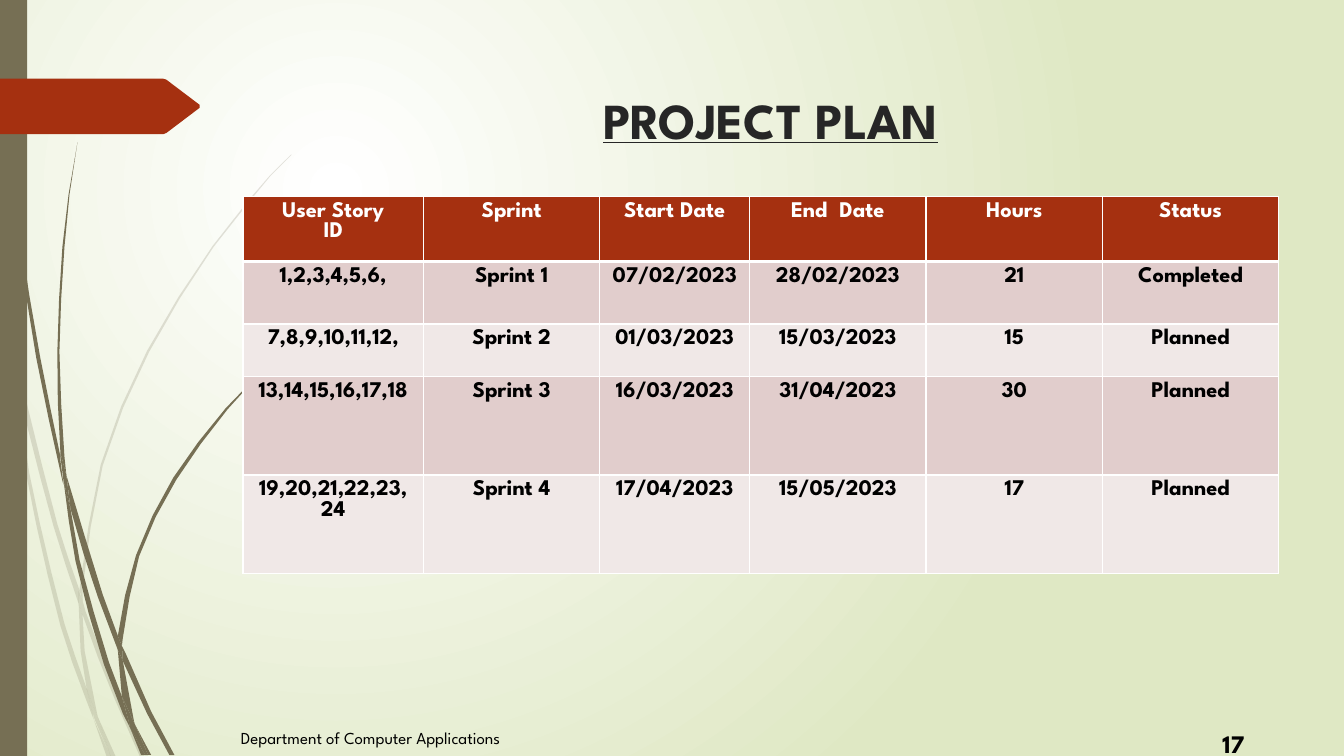
from dataclasses import dataclass
from math import ceil, dist

from lxml.etree import SubElement
from pptx import Presentation
from pptx.dml.color import RGBColor as RGB
from pptx.enum.text import MSO_ANCHOR as ANCHOR, MSO_AUTO_SIZE as AUTO, PP_ALIGN as ALIGN
from pptx.enum.shapes import MSO_SHAPE as SHAPE
from pptx.oxml.ns import qn
from pptx.util import Pt


@dataclass(frozen=True)
class Theme:
    font: str = "League Spartan"
    white: str = "FFFFFF"
    black: str = "000000"
    title: str = "262626"
    backdrop: str = "DFE8C4"
    stem: str = "766F54"
    accent: str = "A53010"
    bands: tuple = ("E1CDCC", "F0E8E7")
    title_size: int = 36
    number_size: int = 18
    table_size: int = 16
    footer_size: int = 12


PALE_WISPS = [
    ([(7.2, 252), (5.8, 231.8), (0, 203)], [(0, 215.3), (6.5, 247.7), (7.2, 252)]),
    ([(9.4, 248.4), (11.5, 270.7), (38.2, 375.8), (56.2, 431.3)],
     [(56.9, 421.9), (41, 374.4), (9.4, 248.4)]),
    ([(59, 429.1), (59, 439.2), (82.1, 499.7), (100.1, 540.7)],
     [(103.7, 540.7), (85, 498.2), (61.2, 437), (59, 429.1)]),
    ([(69.8, 511.9), (79.2, 540.7)], [(82.8, 540.7), (69.8, 511.9)]),
    ([(7.2, 252), (18.7, 338.4), (43.2, 447.1), (61.2, 499), (67, 514.1)],
     [(66.2, 509), (61.9, 491.8), (46.1, 445.7), (20.9, 337.7), (11.5, 270.7), (7.2, 252)]),
    ([(56.2, 431.3), (57.6, 465.1), (61.9, 491.8), (64.1, 498.2), (69.8, 511.9)],
     [(69.1, 508.3), (60.5, 465.1), (59, 439.2), (58.3, 437.8), (56.2, 431.3)]),
    ([(59, 429.1), (59, 420.5), (73.4, 332.6), (106.6, 251.3), (152.6, 176.4),
      (179.3, 142.6), (193, 126), (208.1, 110.9)],
     [(208.1, 110.2), (192.6, 125.6), (178.6, 141.8), (151.9, 175.7), (105.1, 250.6),
      (72, 331.9), (56.9, 420.5), (56.9, 421.9), (59, 429.1)]),
    ([(67, 514.1), (76.3, 540.7)], [(79.2, 540.7), (67, 514.1)]),
    ([(56.2, 421.9), (56.2, 431.3), (58.3, 437.8), (59, 439.2)], [(59, 429.1), (56.2, 421.9)]),
    ([(61.9, 491.8), (66.2, 509), (67.7, 514.1), (79.2, 540.7)],
     [(79.2, 540.7), (69.8, 511.9), (64.1, 498.2), (61.9, 491.8)]),
]
DARK_WISPS = [
    ([(2.2, 0), (2.9, 34.6), (5, 79.2), (13, 167.8), (25.9, 255.6), (44.6, 343.4), (45.4, 346.3)],
     [(43.2, 329), (43.2, 326.2), (28.8, 255.6), (14.4, 167), (5.8, 78.5), (3.6, 34.6), (2.9, 0)]),
    ([(47.5, 339.8), (50.4, 363.6), (69.8, 426.2), (84.2, 464.4)],
     [(84.2, 455.8), (84.2, 454.3), (73.4, 424.8), (47.5, 339.8)]),
    ([(87.1, 461.5), (87.8, 472.3), (105.1, 509.8), (121, 539.3)],
     [(124.6, 539.3), (108, 508.3), (90, 467.3), (87.1, 461.5)]),
    ([(45.4, 343.4), (54, 401), (74.2, 474.5), (87.8, 509.8), (92.9, 519.8)],
     [(92.2, 516.2), (87.1, 497.5), (77.8, 473), (56.9, 400.3), (50.4, 363.6), (45.4, 343.4)]),
    ([(47.5, 339.8), (46.1, 326.2), (42.5, 251.3), (46.1, 176.4), (49.7, 139), (55.4, 101.5)],
     [(55.4, 101.5), (49, 139), (44.6, 176.4), (41, 251.3), (43.2, 323.3), (47.5, 339.8)]),
    ([(96.5, 517.7), (105.8, 539.3)], [(108, 539.3), (96.5, 517.7)]),
    ([(43.2, 323.3), (43.2, 326.2), (45.4, 343.4), (50.4, 363.6)], [(47.5, 339.8), (43.2, 323.3)]),
    ([(87.1, 461.5), (87.8, 455.8), (99.4, 397.4), (126, 342.7), (162.7, 292.3),
      (183.6, 269.3), (195.1, 258.5), (207.4, 247.7)],
     [(206.6, 247.7), (194.4, 257.8), (183.6, 268.6), (161.3, 291.6), (123.8, 341.3),
      (97.2, 396.7), (84.2, 454.3), (87.1, 461.5)]),
    ([(92.9, 519.8), (100.8, 539.3)], [(103.7, 539.3), (92.9, 519.8)]),
    ([(84.2, 464.4), (87.1, 497.5), (92.2, 508.3), (96.5, 517.7)],
     [(95.8, 515.5), (87.8, 472.3), (86.4, 468.7), (84.2, 464.4)]),
    ([(84.2, 454.3), (84.2, 464.4), (86.4, 468.7), (87.8, 472.3)], [(87.1, 461.5), (84.2, 454.3)]),
    ([(87.1, 497.5), (92.2, 516.2), (92.9, 519.8), (103.7, 539.3)],
     [(105.8, 539.3), (96.5, 517.7), (92.2, 508.3), (87.1, 497.5)]),
]
RIBBON = [(0, 56.2), (116.6, 56.2), (118.8, 56.9), (142.6, 74.9),
          (142.6, 77), (118.8, 95), (116.6, 95.8), (0, 95.8)]
PLAN = [
    ("User Story\nID", "Sprint", "Start Date", "End  Date", "Hours", "Status"),
    ("1,2,3,4,5,6,", "Sprint 1", "07/02/2023", "28/02/2023", "21", "Completed"),
    ("7,8,9,10,11,12,", "Sprint 2", "01/03/2023", "15/03/2023", "15", "Planned"),
    ("13,14,15,16,17,18", "Sprint 3", "16/03/2023", "31/04/2023", "30", "Planned"),
    ("19,20,21,22,23,24", "Sprint 4", "17/04/2023", "15/05/2023", "17", "Planned"),
]
COLUMNS = (129, 126, 107, 126, 126, 126)
ROWS = (46.5, 44.5, 37.5, 70.5, 70.5)


def smooth_edge(pts, longest=45):
    def slope(i):
        a, b = pts[max(i - 1, 0)], pts[min(i + 1, len(pts) - 1)]
        span = dist(a, pts[i]) + dist(pts[i], b)
        return [(v - u) / span for u, v in zip(a, b)]

    edge = [pts[0]]
    for i, (a, b) in enumerate(zip(pts, pts[1:])):
        size, m, n = dist(a, b), slope(i), slope(i + 1)
        steps = ceil(size / longest)
        for t in (k / steps for k in range(1, steps + 1)):
            h = t * t * (3 - 2 * t)
            edge.append(tuple(
                a[j] * (1 - h) + b[j] * h
                + size * (m[j] * t * (1 - t) ** 2 - n[j] * t * t * (1 - t))
                for j in (0, 1)))
    return edge


def write(tf, text, *, font, size, color, bold=False, underline=False, align=ALIGN.LEFT):
    for i, line in enumerate(text.split("\n")):
        p = tf.add_paragraph() if i else tf.paragraphs[0]
        p.alignment = align
        r = p.add_run()
        r.text = line
        r.font.name, r.font.size = font, Pt(size)
        r.font.bold, r.font.underline = bold, underline
        r.font.color.rgb = RGB.from_string(color)


class SlideBuilder:
    def __init__(self, slide, theme):
        self.s, self.theme = slide, theme

    def background(self):
        fill = self.s.background.fill
        fill.gradient()
        for stop, color, pos in zip(fill.gradient_stops, (self.theme.white, self.theme.backdrop), (0, 1)):
            stop.color.rgb, stop.position = RGB.from_string(color), pos
        grad = self.s.element.find(".//" + qn("a:gradFill"))
        grad.remove(grad.find(qn("a:lin")))
        circle = SubElement(grad, qn("a:path"), path="circle")
        SubElement(circle, qn("a:fillToRect"), l="50000", t="50000", r="100000", b="100000")

    def paint(self, sp, color, alpha=100):
        sp.shadow.inherit = False
        sp.fill.solid()
        sp.fill.fore_color.rgb = RGB.from_string(color)
        sp.line.fill.background()
        if alpha < 100:
            SubElement(sp.element.find(".//" + qn("a:srgbClr")), qn("a:alpha"), val=str(alpha * 1000))

    def bar(self, x, y, w, h, color):
        self.paint(self.s.shapes.add_shape(SHAPE.RECTANGLE, Pt(x), Pt(y), Pt(w), Pt(h)), color)

    def outline(self, pts, color, alpha=100):
        first, *rest = [(Pt(x), Pt(y)) for x, y in pts]
        fb = self.s.shapes.build_freeform(*first, scale=1.0)
        fb.add_line_segments(rest, close=True)
        self.paint(fb.convert_to_shape(), color, alpha)

    def fill_frame(self, sp, text, size, wrap=True, **fmt):
        tf = sp.text_frame
        tf.word_wrap, tf.auto_size, tf.vertical_anchor = wrap, AUTO.NONE, ANCHOR.TOP
        tf.margin_top = Pt(3.6 + 0.3 * size)
        write(tf, text, font=self.theme.font, size=size, **fmt)

    def title(self, text, x, y, w, h):
        sp = self.s.shapes.title
        sp.left, sp.top, sp.width, sp.height = Pt(x), Pt(y), Pt(w), Pt(h)
        self.fill_frame(sp, text, self.theme.title_size, color=self.theme.title,
                        bold=True, underline=True, align=ALIGN.CENTER)

    def label(self, text, x, y, w, h, size, **fmt):
        sp = self.s.shapes.add_textbox(Pt(x), Pt(y), Pt(w), Pt(h))
        self.fill_frame(sp, text, size, color=self.theme.black, **fmt)

    def table(self, data, x, y, widths, heights):
        th = self.theme
        tbl = self.s.shapes.add_table(len(data), len(widths), Pt(x), Pt(y),
                                      Pt(sum(widths)), Pt(sum(heights))).table
        for col, w in zip(tbl.columns, widths):
            col.width = Pt(w)
        for i, (row, h) in enumerate(zip(data, heights)):
            tbl.rows[i].height = Pt(h)
            for j, text in enumerate(row):
                cell = tbl.cell(i, j)
                write(cell.text_frame, text, font=th.font, size=th.table_size, bold=True,
                      color=th.black if i else th.white, align=ALIGN.CENTER)
                self.borders(cell, L=1, R=1, T=3 if i == 1 else 1, B=1 if i else 3)
                cell.fill.solid()
                cell.fill.fore_color.rgb = RGB.from_string(th.bands[(i - 1) % 2] if i else th.accent)

    def borders(self, cell, **widths):
        tcPr = cell._tc.get_or_add_tcPr()
        for side, width in widths.items():
            ln = SubElement(tcPr, qn("a:ln" + side), w=str(Pt(width)))
            SubElement(SubElement(ln, qn("a:solidFill")), qn("a:srgbClr"), val=self.theme.white)


def main():
    prs = Presentation()
    prs.slide_width, prs.slide_height = Pt(960), Pt(540)
    theme = Theme()
    b = SlideBuilder(prs.slides.add_slide(prs.slide_layouts[5]), theme)
    b.background()
    for wisps, alpha in ((PALE_WISPS, 20), (DARK_WISPS, 100)):
        for left, right in wisps:
            b.outline(smooth_edge(left) + smooth_edge(right), theme.stem, alpha)
    b.bar(0, 0, 19.5, 540, theme.stem)
    b.outline(RIBBON, theme.accent)
    b.title("PROJECT PLAN", 204.5, 49, 692, 75)
    b.table(PLAN, 173.5, 140.4, COLUMNS, ROWS)
    b.label("Department of Computer Applications", 165, 512.5, 376.5, 21.5, theme.footer_size)
    b.label("17", 866, 511, 35, 29, theme.number_size, bold=True, wrap=False)
    prs.save("out.pptx")


if __name__ == "__main__":
    main()
